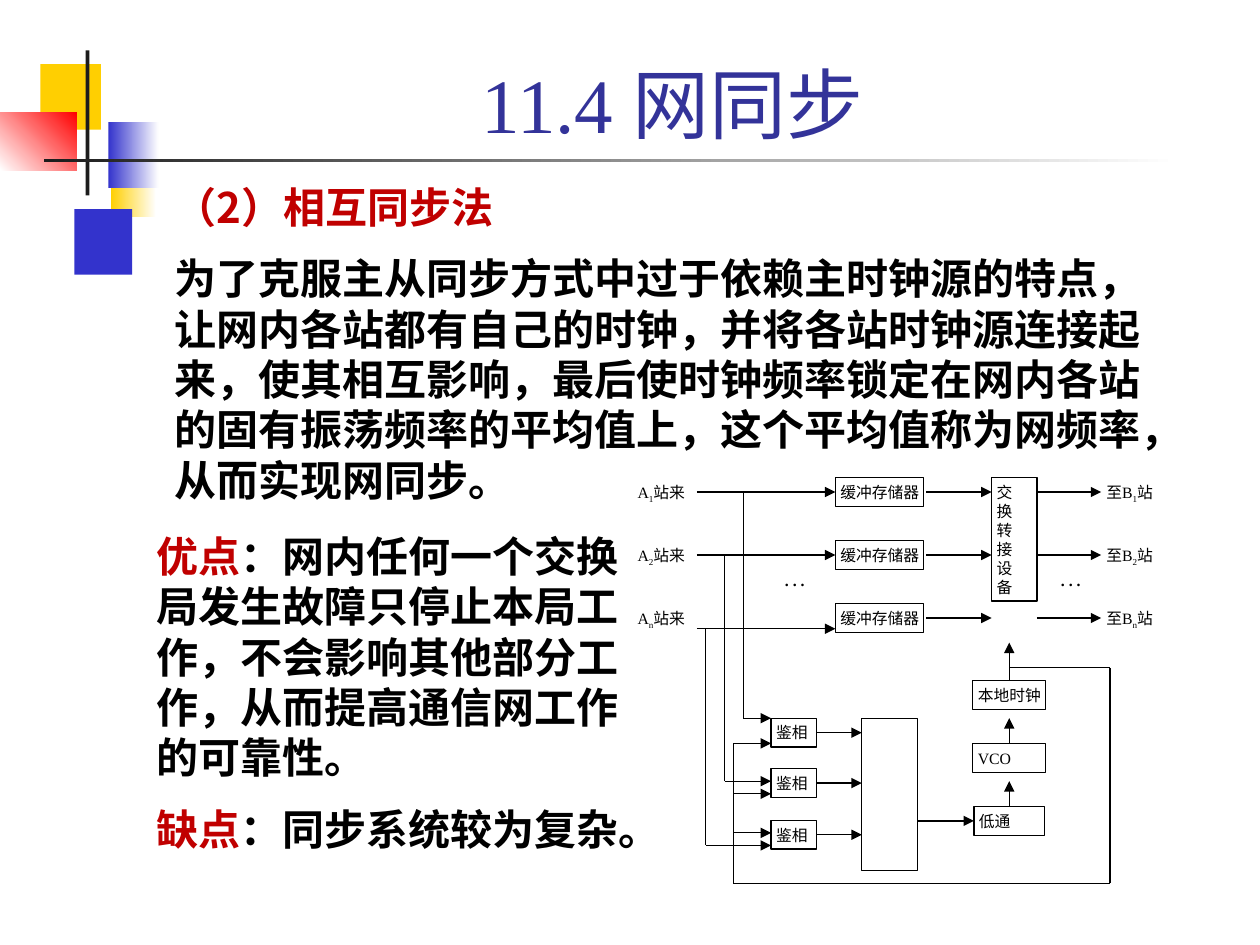
from lxml import etree
from pptx import Presentation
from pptx.dml.color import RGBColor
from pptx.enum.shapes import MSO_CONNECTOR, MSO_SHAPE
from pptx.enum.text import MSO_ANCHOR, PP_ALIGN
from pptx.oxml.ns import qn
from pptx.util import Inches, Pt

RECT = MSO_SHAPE.RECTANGLE
LINE = MSO_CONNECTOR.STRAIGHT
TOP, BASE = MSO_ANCHOR.TOP, MSO_ANCHOR.BOTTOM
MID, JUST = PP_ALIGN.CENTER, PP_ALIGN.JUSTIFY
HAN, ROMAN = "Noto Sans CJK SC", "Times New Roman"
INK = {"black": "000000", "white": "FFFFFF", "red": "C00000", "title": "333399",
       "gold": "FFCF01", "blue": "3333CC", "flame": "FF0000", "dark": "1C1C1C"}
H = 0.23  # height of a one-line box

prs = Presentation()
prs.slide_width, prs.slide_height = Inches(10), Inches(7.5)
slide = prs.slides.add_slide(prs.slide_layouts[5])
shapes = slide.shapes


def write(para, text, face, size, ink="black", bold=False, base=0):
    run = para.add_run()
    run.text = text
    for key, value in {"name": face, "size": Pt(size), "bold": bold}.items():
        setattr(run.font, key, value)
    run.font.color.rgb = RGBColor.from_string(INK[ink])
    props = run._r.get_or_add_rPr()
    etree.SubElement(props, qn("a:ea")).set("typeface", HAN)
    if base:
        props.set("baseline", str(base * 1000))


def wire(x1, y1, x2, y2, arrow=True, start=None, end=None):
    line = shapes.add_connector(LINE, *map(Inches, (x1, y1, x2, y2)))
    if start:
        line.begin_connect(*start)
    if end:
        line.end_connect(*end)
    line.line.color.rgb = RGBColor.from_string(INK["black"])
    line.line.width = Pt(0.75)
    if arrow:
        etree.SubElement(line.line._get_or_add_ln(), qn("a:tailEnd")).set("type", "triangle")
    etree.SubElement(line._element.spPr, qn("a:effectLst"))


# Corner ornament: place, first colour, second colour, angle
for place, ink, fade, angle in [
    ((0.88, 1.2, 0.36, 0.52), "gold", "white", 0),
    ((0.59, 1.66, 0.46, 0.52), "blue", None, 0),
    ((0.32, 0.51, 0.48, 0.52), "gold", None, 0),
    ((0.86, 0.97, 0.4, 0.52), "blue", "white", 0),
    ((0, 0.89, 0.61, 0.46), "white", "flame", 45),
    ((0.68, 0.4, 0.03, 1.15), "dark", None, 0),
    ((0.35, 1.26, 9, 0.03), "dark", "white", 0),
]:
    block = shapes.add_shape(RECT, *map(Inches, place))
    block.shadow.inherit = False
    block.line.fill.background()
    if fade:
        block.fill.gradient()
        block.fill.gradient_angle = angle
        for stop, name, spot in zip(block.fill.gradient_stops, (ink, fade), (0, 1)):
            stop.color.rgb = RGBColor.from_string(INK[name])
            stop.position = spot
    else:
        block.fill.solid()
        block.fill.fore_color.rgb = RGBColor.from_string(INK[ink])

# Title
title = shapes.title
for key, value in {"left": 0.75, "top": 0.23, "width": 9.18, "height": 1}.items():
    setattr(title, key, Inches(value))
title.text_frame.vertical_anchor = BASE
title.text_frame.paragraphs[0].alignment = MID
write(title.text_frame.paragraphs[0], "11.4 网同步", ROMAN, 44, "title")

# Diagram boxes: place, outlined, wraps, paragraphs of (text, bold, baseline) runs
rows = [3.79, 4.29, 4.79]
checks = [5.7, 6.1, 6.51]
axis = 8.01  # centre of the clock chain
boxes = [("ground", (5.02, 3.79, 4.23, 3.22), False, True, [])]
for x, w in [(6.19, 0.36), (8.38, 0.51)]:
    boxes.append(("dots", (x, 4.49, w, H), False, True, [[(". . .", True, 0)]]))
for i, (y, mark) in enumerate(zip(rows, "12n")):
    boxes.append((f"buffer{i}", (6.63, y, 0.7, H), True, False, [[("缓冲存储器", False, 0)]]))
    for x, head, tail in [(5.02, "A", "站来"), (8.74, "至B", "站")]:
        boxes.append(("label", (x, y, 0.51, H), False, True,
                      [[(head, False, 0), (mark, False, -25), (tail, False, 0)]]))
for i, y in enumerate(checks):
    boxes.append((f"check{i}", (6.12, y, 0.36, H), True, True, [[("鉴相", False, 0)]]))
for name, y, w, wrap, text in [("clock", 5.4, 0.58, False, "本地时钟"),
                               ("vco", 5.9, 0.58, True, "VCO"),
                               ("low", 6.4, 0.56, True, "低通")]:
    boxes.append((name, (axis - w / 2, y, w, H), True, wrap, [[(text, False, 0)]]))
boxes.append(("switch", (7.87, 3.79, 0.36, 0.98), True, True,
              [[(char, False, 0)] for char in "交换转接设备"]))
boxes.append(("adder", (6.84, 5.7, 0.44, 1.21), True, True, []))

part = {}
for name, place, edge, wrap, paras in boxes:
    box = part[name] = shapes.add_shape(RECT, *map(Inches, place))
    box.shadow.inherit = False
    box.fill.solid()
    box.fill.fore_color.rgb = RGBColor.from_string(INK["white"])
    if edge:
        box.line.color.rgb = RGBColor.from_string(INK["black"])
        box.line.width = Pt(0.75)
    else:
        box.line.fill.background()
    frame = box.text_frame
    frame.word_wrap, frame.vertical_anchor = wrap, TOP
    for side in ("left", "top", "right", "bottom"):
        setattr(frame, f"margin_{side}", Inches(0.04))
    for i, runs in enumerate(paras):
        para = frame.add_paragraph() if i else frame.paragraphs[0]
        para.alignment = JUST
        for text, bold, base in runs:
            write(para, text, ROMAN, 9, bold=bold, base=base)

# Station rows: into the buffers, through the switch, out
for i, top in enumerate(rows):
    y = top + H / 2
    if i < 2:
        wire(5.53, y, 6.63, y, end=(part[f"buffer{i}"], 1))
    else:
        wire(5.53, 4.99, 6.63, 4.99)
    wire(7.35, y, 7.87, y)
    wire(8.23, y, 8.74, y)

# Taps from each row down to its phase detector
for x, y1, y2 in [(5.9, rows[0] + H / 2, 5.7), (5.75, rows[1] + H / 2, 6.2), (5.6, 4.99, 6.71)]:
    wire(x, y1, x, y2, arrow=False)
    wire(x, y2, 6.12, y2)

# Detectors to the adder, then the low-pass filter
for i, top in enumerate(checks):
    y = top + H / 2
    wire(6.48, y, 6.84, y, start=(part[f"check{i}"], 3))
wire(7.28, 6.4 + H / 2, 7.73, 6.4 + H / 2, end=(part["low"], 1))

# Clock chain upwards
for name, y1, y2 in [("low", 6.4, 6.2), ("vco", 5.9, 5.7), ("clock", 5.4, 5.1)]:
    wire(axis, y1, axis, y2, start=(part[name], 0))

# Feedback loop
loop = [(axis, 5.3), (8.81, 5.3), (8.81, 7.01), (5.82, 7.01), (5.82, 5.9)]
for here, there in zip(loop, loop[1:]):
    wire(*here, *there, arrow=False)
for y in (5.9, 6.3, 6.61):
    wire(5.82, y, 6.12, y)

# Body texts
for place, paras in [
    ((1.29, 1.39, 8.1, 2.71), [
        [("（2）相互同步法", "red")],
        [("为了克服主从同步方式中过于依赖主时钟源的特点，让网内各站都有自己的时钟，"
          "并将各站时钟源连接起来，使其相互影响，最后使时钟频率锁定在网内各站的"
          "固有振荡频率的平均值上，这个平均值称为网频率，从而实现网同步。", "black")]]),
    ((1.14, 4.16, 3.88, 3.09), [
        [("优点", "red"), ("：网内任何一个交换局发生故障只停止本局工作，不会影响其他部分工作，"
                         "从而提高通信网工作的可靠性。", "black")],
        [("缺点", "red"), ("：同步系统较为复杂。", "black")]]),
]:
    frame = shapes.add_textbox(*map(Inches, place)).text_frame
    frame.word_wrap = True
    for i, runs in enumerate(paras):
        para = frame.add_paragraph() if i else frame.paragraphs[0]
        para.space_before = Pt(12)
        for text, ink in runs:
            write(para, text, HAN, 24, ink, bold=True)

prs.save("out.pptx")
